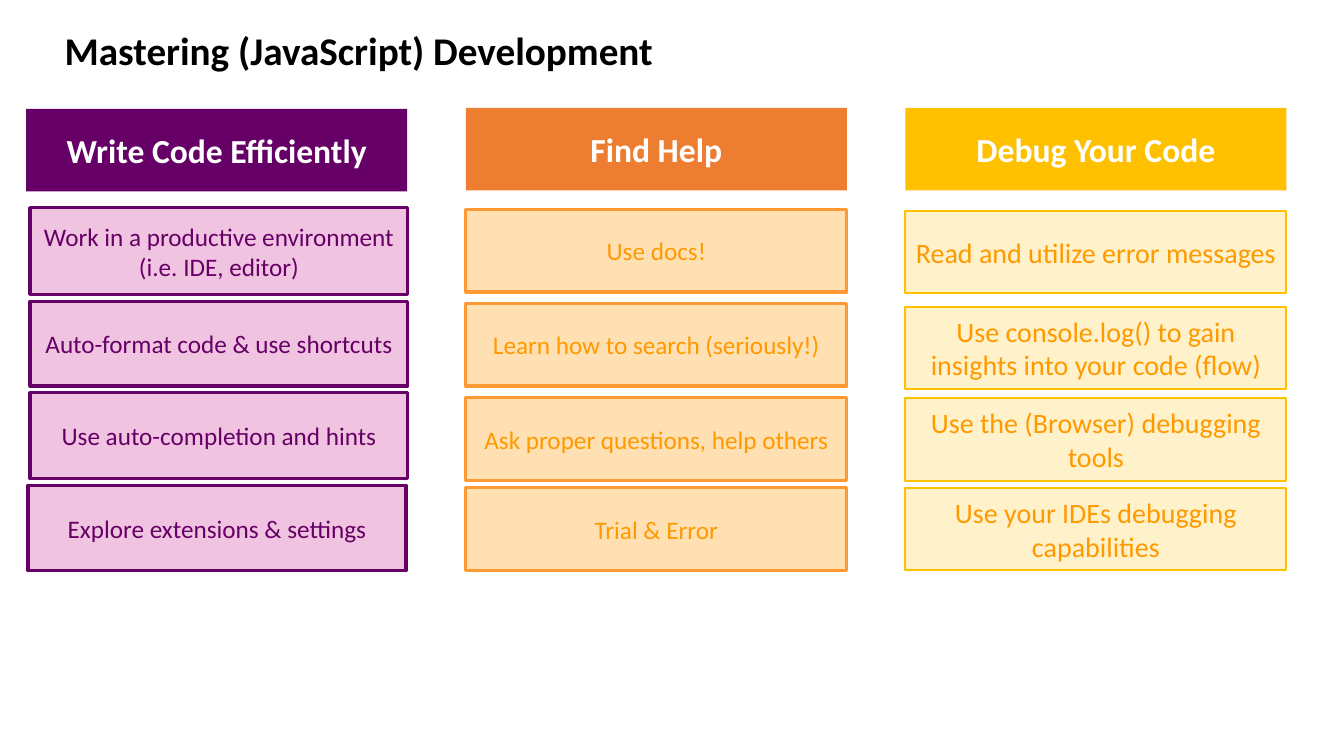
"""Build a slide with three columns of advice on mastering JavaScript development."""
from lxml import etree
from pptx import Presentation
from pptx.dml.color import RGBColor
from pptx.enum.shapes import MSO_SHAPE
from pptx.enum.text import MSO_ANCHOR, PP_ALIGN
from pptx.oxml.ns import qn
from pptx.util import Pt

RECTANGLE = MSO_SHAPE.RECTANGLE
TOP, MIDDLE = MSO_ANCHOR.TOP, MSO_ANCHOR.MIDDLE
LEFT, CENTER = PP_ALIGN.LEFT, PP_ALIGN.CENTER

FONT = "Calibri"
TITLE = "Mastering (JavaScript) Development"
FIRST_LEFT, COLUMN_PITCH, COLUMN_WIDTH = 18.7, 314, 272.2
HEADER_HEIGHT = 59

# Each tip holds its text, its shift from the column's left edge, its top and its height.
COLUMNS = [
    {
        "header": "Write Code Efficiently", "header_top": 77.8, "header_fill": "660066",
        "fill": "CC3399", "opacity": 29, "line": "660066", "line_width": 2.25,
        "color": "660066", "size": 18, "tip_width": 270,
        "tips": [
            ("Work in a productive environment (i.e. IDE, editor)", 2.7, 148.3, 62),
            ("Auto-format code & use shortcuts", 2.7, 215.3, 60.5),
            ("Use auto-completion and hints", 2.7, 280.6, 61.2),
            ("Explore extensions & settings", 1.3, 346.5, 61.2),
        ],
    },
    {
        "header": "Find Help", "header_top": 77, "header_fill": "ED7D31",
        "fill": "FF9900", "opacity": 30, "line": "FF9933", "line_width": 2.25,
        "color": "FF9900", "size": 18, "tip_width": COLUMN_WIDTH,
        "tips": [
            ("Use docs!", 0, 149.6, 59),
            ("Learn how to search (seriously!)", 0, 216.8, 59),
            ("Ask proper questions, help others", 0, 284.2, 59),
            ("Trial & Error", 0, 348.5, 59),
        ],
    },
    {
        "header": "Debug Your Code", "header_top": 77, "header_fill": "FFC000",
        "fill": "FFC000", "opacity": 21, "line": "FFC000", "line_width": 1.5,
        "color": "FF9900", "size": 20, "tip_width": COLUMN_WIDTH,
        "tips": [
            ("Read and utilize error messages", 0, 150.6, 59),
            ("Use console.log() to gain insights into your code (flow)", 0, 219, 59),
            ("Use the (Browser) debugging tools", 0, 284.4, 59),
            ("Use your IDEs debugging capabilities", 0, 348.5, 59),
        ],
    },
]


def rgb(value):
    return RGBColor.from_string(value)


def write_text(shape, text, size, color, bold, align, anchor):
    frame = shape.text_frame
    frame.word_wrap = True
    frame.vertical_anchor = anchor
    paragraph = frame.paragraphs[0]
    paragraph.alignment = align
    paragraph.line_spacing = 1.0
    run = paragraph.add_run()
    run.text = text
    run.font.name = FONT
    run.font.size = Pt(size)
    run.font.bold = bold
    run.font.color.rgb = rgb(color)


def add_box(slide, left, top, width, height, fill):
    shape = slide.shapes.add_shape(RECTANGLE, Pt(left), Pt(top), Pt(width), Pt(height))
    shape.shadow.inherit = False
    shape.fill.solid()
    shape.fill.fore_color.rgb = rgb(fill)
    shape.line.fill.background()
    return shape


def set_opacity(shape, percent):
    color = shape.fill._xPr.find(qn("a:solidFill"))[0]
    etree.SubElement(color, qn("a:alpha")).set("val", str(percent * 1000))


def add_column(slide, left, column):
    header = add_box(slide, left, column["header_top"], COLUMN_WIDTH,
                     HEADER_HEIGHT, column["header_fill"])
    write_text(header, column["header"], 24, "FFFFFF", True, CENTER, MIDDLE)
    for text, shift, top, height in column["tips"]:
        tip = add_box(slide, left + shift, top, column["tip_width"], height, column["fill"])
        set_opacity(tip, column["opacity"])
        tip.line.color.rgb = rgb(column["line"])
        tip.line.width = Pt(column["line_width"])
        write_text(tip, text, column["size"], column["color"], False, CENTER, MIDDLE)


def main():
    presentation = Presentation()
    presentation.slide_width, presentation.slide_height = Pt(960), Pt(540)
    slide = presentation.slides.add_slide(presentation.slide_layouts[5])
    title = slide.shapes.title
    title.left, title.top, title.width, title.height = Pt(39), Pt(15), Pt(473), Pt(41)
    write_text(title, TITLE, 28, "000000", True, LEFT, TOP)
    for index, column in enumerate(COLUMNS):
        add_column(slide, FIRST_LEFT + index * COLUMN_PITCH, column)
    presentation.save("out.pptx")


if __name__ == "__main__":
    main()
